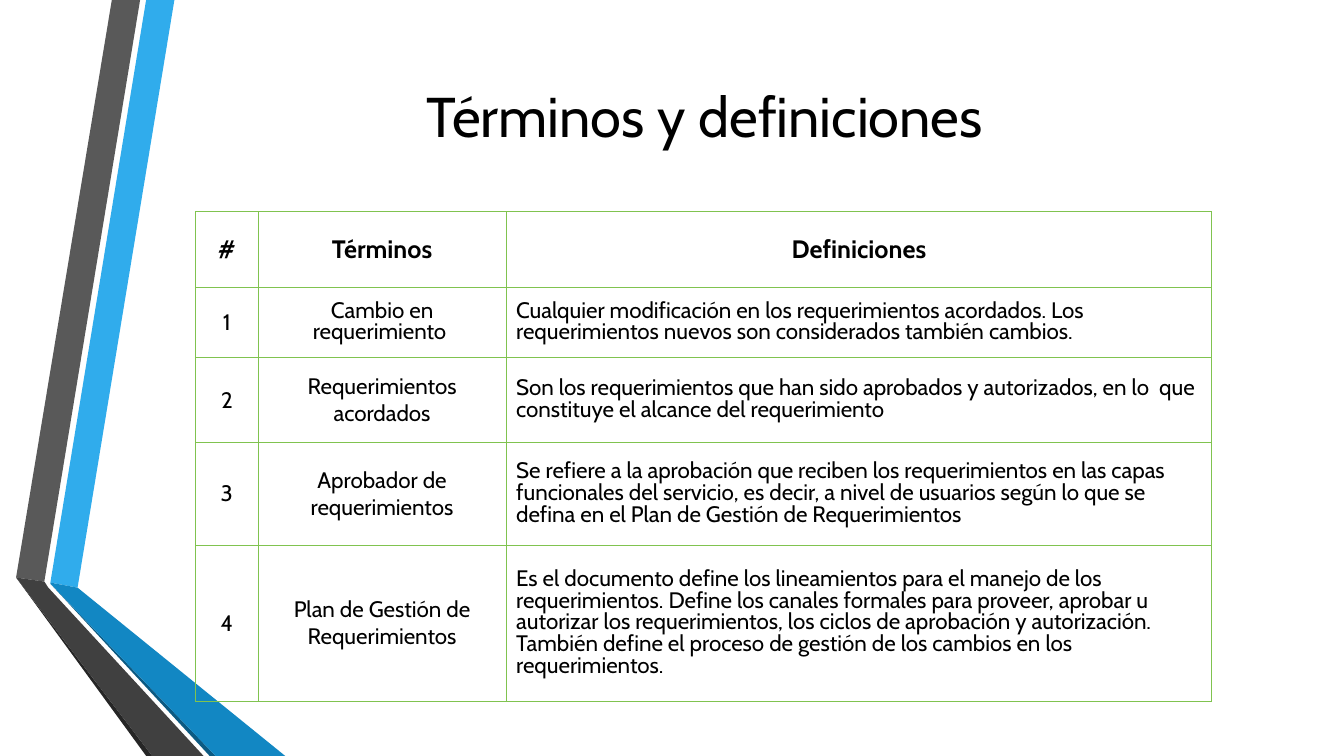
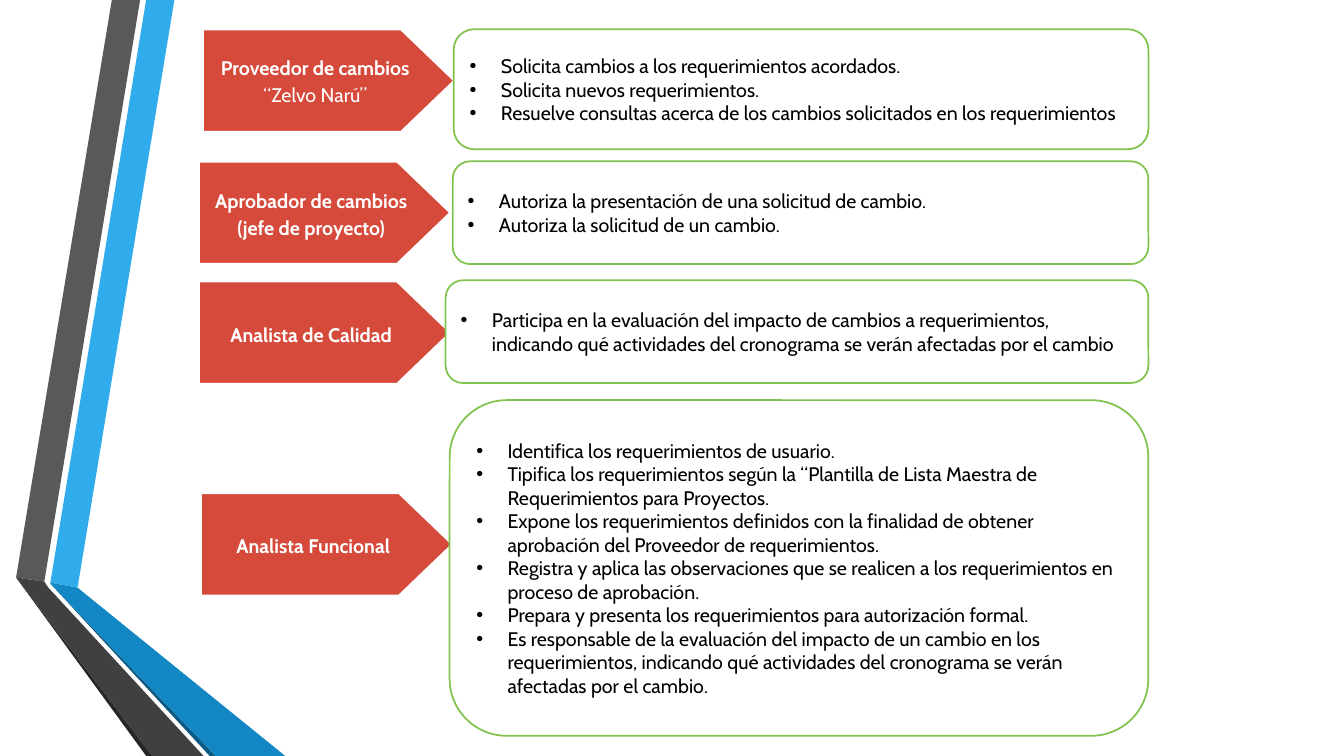
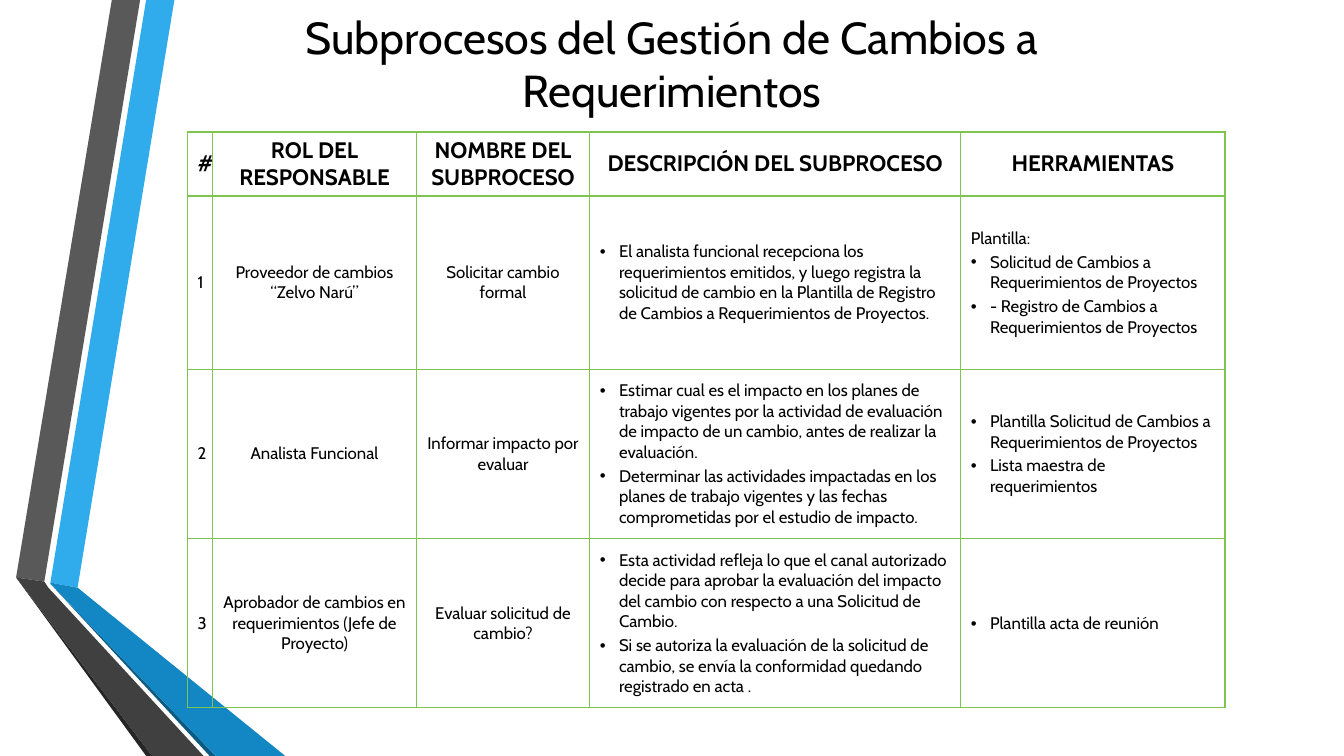
from lxml.etree import SubElement
from pptx import Presentation
from pptx.dml.color import RGBColor
from pptx.enum.shapes import MSO_SHAPE
from pptx.enum.text import MSO_ANCHOR, PP_ALIGN
from pptx.oxml import parse_xml
from pptx.oxml.ns import nsdecls, qn
from pptx.util import Inches, Pt

FONT = "Cabin"
BLACK = RGBColor(0x00, 0x00, 0x00)
WHITE = RGBColor(0xFF, 0xFF, 0xFF)
RED = RGBColor(0xD6, 0x4A, 0x3B)
GREEN = RGBColor(0x80, 0xC3, 0x4F)
SKY = RGBColor(0x30, 0xAC, 0xEC)
BLUE = RGBColor(0x12, 0x87, 0xC3)
NAVY = RGBColor(0x0C, 0x5A, 0x82)
GRAY = RGBColor(0x59, 0x59, 0x59)
DARK = RGBColor(0x40, 0x40, 0x40)
COAL = RGBColor(0x26, 0x26, 0x26)
LEFT, MID = PP_ALIGN.LEFT, PP_ALIGN.CENTER

BANDS = [
    (SKY, [(0.5, 5.78), (0.77, 5.83), (1.73, 0), (1.45, 0)]),
    (GRAY, [(1.39, 0), (1.11, 0), (0.16, 5.73), (0.44, 5.77)]),
    (COAL, [(0.16, 5.73), (1.45, 7.5), (1.51, 7.5)]),
    (NAVY, [(0.5, 5.79), (2.08, 7.5), (2.14, 7.5)]),
    (BLUE, [(0.5, 5.79), (2.14, 7.5), (2.83, 7.5), (0.77, 5.83), (0.5, 5.78)]),
    (DARK, [(2.02, 7.5), (0.48, 5.83), (0.44, 5.77), (0.16, 5.73), (1.51, 7.5)]),
]


def add_bands(slide):
    for color, dots in BANDS:
        dots = [(Inches(x), Inches(y)) for x, y in dots]
        pen = slide.shapes.build_freeform(*dots[0])
        pen.add_line_segments(dots[1:], close=True)
        band = pen.convert_to_shape()
        band.shadow.inherit = False
        band.fill.solid()
        band.fill.fore_color.rgb = color
        band.line.fill.background()


def new_slide(deck):
    slide = deck.slides.add_slide(deck.slide_layouts[6])
    add_bands(slide)
    return slide


def write(frame, row, text, size, align=LEFT, color=BLACK, bold=False,
          lead=None, before=0, after=0, dent=0):
    para = frame.paragraphs[0] if row == 0 else frame.add_paragraph()
    para.alignment = align
    para.space_before, para.space_after = Pt(before), Pt(after)
    if lead:
        para.line_spacing = lead
    if dent:
        props = para._p.get_or_add_pPr()
        props.set("marL", str(Inches(dent)))
        props.set("indent", str(-Inches(dent)))
        SubElement(props, qn("a:buFont")).set("typeface", "Arial")
        SubElement(props, qn("a:buChar")).set("char", "•")
    run = para.add_run()
    run.text = text
    run.font.name, run.font.size, run.font.bold = FONT, Pt(size), bold
    run.font.color.rgb = color


def add_title(slide, box, text, size):
    frame = slide.shapes.add_textbox(*map(Inches, box)).text_frame
    frame.word_wrap = True
    frame.vertical_anchor = MSO_ANCHOR.MIDDLE
    write(frame, 0, text, size, MID)


def add_edges(cell, base):
    props = cell._tc.get_or_add_tcPr()
    for spot, side in enumerate("LRTB"):
        width = Pt(base if side == "B" else 1)
        props.insert(spot, parse_xml(
            f'<a:ln{side} {nsdecls("a")} w="{width}"><a:solidFill>'
            f'<a:srgbClr val="{GREEN}"/></a:solidFill></a:ln{side}>'))


def add_grid(slide, spot, widths, heights, rows, fill_cell, base=1):
    box = [*spot, sum(widths), sum(heights)]
    grid = slide.shapes.add_table(len(rows), len(widths), *map(Inches, box)).table
    grid.first_row = grid.horz_banding = False
    for col, width in zip(grid.columns, widths):
        col.width = Inches(width)
    for line, height in zip(grid.rows, heights):
        line.height = Inches(height)
    for r, row in enumerate(rows):
        for c, text in enumerate(row):
            cell = grid.cell(r, c)
            cell.fill.background()
            cell.vertical_anchor = MSO_ANCHOR.MIDDLE
            add_edges(cell, base if r == 0 else 1)
            fill_cell(cell.text_frame, r, c, text)


def fill_term(frame, r, c, text):
    if r == 0:
        write(frame, 0, text, 18, MID, bold=True, before=3.6)
        return
    tight = c == 2 or (r, c) == (1, 1)
    loose = tight and r in (1, 3)
    write(frame, 0, text, 16, LEFT if c == 2 else MID, before=3.2,
          lead=0.8 if tight else None, after=3.2 if loose else 0)


def fill_step(frame, r, c, text):
    if r == 0:
        write(frame, 0, text, 16, MID, bold=True)
        return
    for row, item in enumerate(text if c > 2 else [text]):
        dent = 0.19 if c > 2 and not item.startswith("Plantilla:") else 0
        write(frame, row, item, 12, LEFT if c > 2 else MID,
              before=2.4 if c else 0, dent=dent)


def add_block(slide, kind, box, bend, fill, edge, width):
    block = slide.shapes.add_shape(kind, *map(Inches, box))
    block.adjustments[0] = bend
    block.shadow.inherit = False
    block.fill.solid()
    block.fill.fore_color.rgb = fill
    block.line.color.rgb = edge
    block.line.width = Pt(width)
    frame = block.text_frame
    frame.word_wrap = True
    frame.vertical_anchor = MSO_ANCHOR.MIDDLE
    return frame


def add_role(slide, tag, card, name, note, tasks, before=0):
    frame = add_block(slide, MSO_SHAPE.PENTAGON, (*tag, 2.5, 1.02), 0.52,
                      RED, WHITE, 1.75)
    last = {"lead": 1.15, "after": 10}
    write(frame, 0, name, 14, MID, WHITE, True, **({} if note else last))
    if note:
        write(frame, 1, note, 14, MID, WHITE, **last)
    left, top, height = card
    frame = add_block(slide, MSO_SHAPE.ROUNDED_RECTANGLE,
                      (left, top, 11.39 - left, height), 0.17, WHITE, GREEN, 1.25)
    for row, task in enumerate(tasks):
        write(frame, row, task, 14, before=before, dent=0.31)


TERMS = [
    ("#", "Términos", "Definiciones"),
    ("1", "Cambio en requerimiento ",
     "Cualquier modificación en los requerimientos acordados. Los requerimientos "
     "nuevos son considerados también cambios. "),
    ("2", "Requerimientos acordados",
     "Son los requerimientos que han sido aprobados y autorizados, en lo  que "
     "constituye el alcance del requerimiento"),
    ("3", "Aprobador de requerimientos",
     "Se refiere a la aprobación que reciben los requerimientos en las capas "
     "funcionales del servicio, es decir, a nivel de usuarios según lo que se "
     "defina en el Plan de Gestión de Requerimientos"),
    ("4", "Plan de Gestión de Requerimientos",
     "Es el documento define los lineamientos para el manejo de los requerimientos. "
     "Define los canales formales para proveer, aprobar u autorizar los "
     "requerimientos, los ciclos de aprobación y autorización. También define el "
     "proceso de gestión de los cambios en los requerimientos."),
]

ROLES = [
    ((2.01, 0.29), (4.5, 0.29, 1.19), "Proveedor de cambios", "“Zelvo Narú”", [
        "Solicita cambios a los requerimientos acordados.",
        "Solicita nuevos requerimientos.",
        "Resuelve consultas acerca de los cambios solicitados en los requerimientos",
    ]),
    ((1.97, 1.6), (4.49, 1.6, 1.02), "Aprobador de cambios (jefe de proyecto)", "", [
        "Autoriza la presentación de una solicitud de cambio.",
        "Autoriza la solicitud de un cambio.",
    ]),
    ((1.97, 2.79), (4.42, 2.78, 1.02), "Analista de Calidad", "", [
        "Participa en la evaluación del impacto de cambios a requerimientos, "
        "indicando qué actividades del cronograma se verán afectadas por el cambio",
    ], 2.8),
    ((1.99, 4.89), (4.46, 3.97, 3.33), "Analista Funcional", "", [
        "Identifica los requerimientos de usuario.",
        "Tipifica los requerimientos según la “Plantilla de Lista Maestra de "
        "Requerimientos para Proyectos.",
        "Expone los requerimientos definidos con la finalidad de obtener aprobación "
        "del Proveedor de requerimientos.",
        "Registra y aplica las observaciones que se realicen a los requerimientos "
        "en proceso de aprobación.",
        "Prepara y presenta los requerimientos para autorización formal.",
        "Es responsable de la evaluación del impacto de un cambio en los "
        "requerimientos, indicando qué actividades del cronograma se verán "
        "afectadas por el cambio.",
    ]),
]

STEPS = [
    ("#", "ROL DEL RESPONSABLE", "NOMBRE DEL SUBPROCESO",
     "DESCRIPCIÓN DEL SUBPROCESO", "HERRAMIENTAS"),
    ("1", "Proveedor de cambios “Zelvo Narú”", "Solicitar cambio formal",
     ["El analista funcional recepciona los requerimientos emitidos, y luego "
      "registra la solicitud de cambio en la Plantilla de Registro de Cambios a "
      "Requerimientos de Proyectos."],
     ["Plantilla: ", "Solicitud de Cambios a Requerimientos de Proyectos",
      "- Registro de Cambios a Requerimientos de Proyectos"]),
    ("2", "Analista Funcional", "Informar impacto por evaluar",
     ["Estimar cual es el impacto en los planes de trabajo vigentes por la "
      "actividad de evaluación de impacto de un cambio, antes de realizar la "
      "evaluación.",
      "Determinar las actividades impactadas en los planes de trabajo vigentes y "
      "las fechas comprometidas por el estudio de impacto."],
     ["Plantilla Solicitud de Cambios a Requerimientos de Proyectos",
      "Lista maestra de requerimientos"]),
    ("3", "Aprobador de cambios en requerimientos (Jefe de Proyecto)",
     "Evaluar solicitud de cambio?",
     ["Esta actividad refleja lo que el canal autorizado decide para aprobar la "
      "evaluación del impacto del cambio con respecto a una Solicitud de Cambio.",
      "Si se autoriza la evaluación de la solicitud de cambio, se envía la "
      "conformidad quedando registrado en acta ."],
     ["Plantilla acta de reunión"]),
]


def make_terms(deck):
    slide = new_slide(deck)
    add_title(slide, (1.51, 0.18, 10.96, 1.92), "Términos y definiciones", 40)
    add_grid(slide, (1.94, 2.1), [0.62, 2.46, 7], [0.75, 0.7, 0.84, 1.02, 1.55],
             TERMS, fill_term)


def make_roles(deck):
    slide = new_slide(deck)
    for role in ROLES:
        add_role(slide, *role)


def make_steps(deck):
    slide = new_slide(deck)
    add_title(slide, (2.58, 0, 8.17, 1.25),
              "Subprocesos del Gestión de Cambios a Requerimientos", 32)
    add_grid(slide, (1.86, 1.31), [0.25, 2.02, 1.72, 3.68, 2.62],
             [0.63, 1.72, 1.68, 1.68], STEPS, fill_step, base=2)


deck = Presentation()
deck.slide_width, deck.slide_height = Inches(13.33), Inches(7.5)
make_terms(deck)
make_roles(deck)
make_steps(deck)
deck.save("out.pptx")
